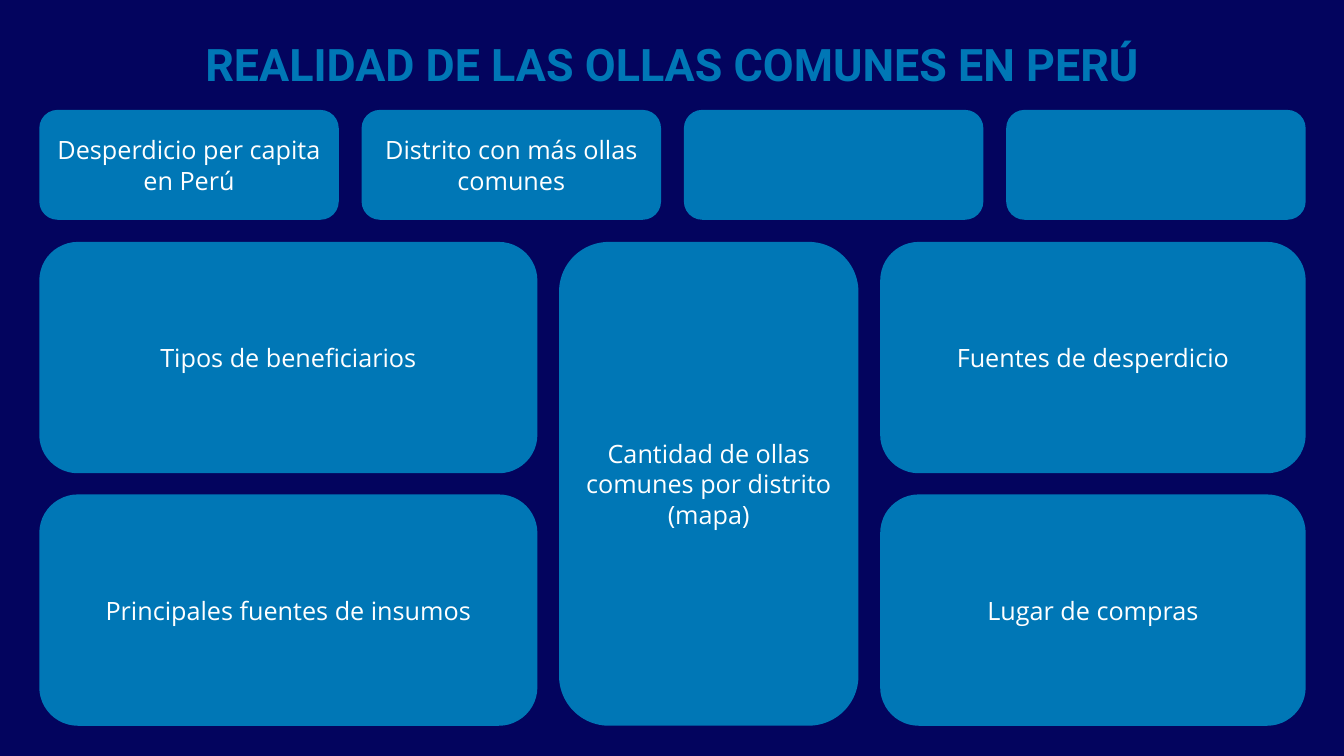
from dataclasses import dataclass

from pptx import Presentation
from pptx.dml.color import RGBColor
from pptx.enum.shapes import MSO_SHAPE
from pptx.enum.text import MSO_ANCHOR, MSO_AUTO_SIZE, PP_ALIGN
from pptx.util import Inches, Pt

ROUNDED = MSO_SHAPE.ROUNDED_RECTANGLE
CENTER = PP_ALIGN.CENTER
TOP = MSO_ANCHOR.TOP
MIDDLE = MSO_ANCHOR.MIDDLE
FIT_SHAPE = MSO_AUTO_SIZE.SHAPE_TO_FIT_TEXT
TITLE_ONLY = 5


@dataclass(frozen=True)
class Theme:
    navy: RGBColor = RGBColor.from_string("03045E")
    blue: RGBColor = RGBColor.from_string("0077B6")
    white: RGBColor = RGBColor.from_string("FFFFFF")
    title_font: str = "Roboto"
    body_font: str = "Open Sans"
    title_size: int = 32
    body_size: int = 18


@dataclass(frozen=True)
class Box:
    left: float
    top: float
    width: float
    height: float

    def lengths(self):
        return [Inches(value) for value in (self.left, self.top, self.width, self.height)]


THEME = Theme()


def add_text(text_frame, text, font_name, size, color, bold=False):
    paragraph = text_frame.paragraphs[0]
    paragraph.alignment = CENTER
    run = paragraph.add_run()
    run.text = text
    run.font.name = font_name
    run.font.size = Pt(size)
    run.font.bold = bold
    run.font.color.rgb = color


def place_title(slide, box, text):
    title = slide.shapes.title
    title.left, title.top, title.width, title.height = box.lengths()
    text_frame = title.text_frame
    text_frame.word_wrap = True
    text_frame.auto_size = FIT_SHAPE
    text_frame.vertical_anchor = TOP
    add_text(text_frame, text, THEME.title_font, THEME.title_size, THEME.blue, bold=True)


def add_card(slide, box, text):
    card = slide.shapes.add_shape(ROUNDED, *box.lengths())
    card.shadow.inherit = False
    card.fill.solid()
    card.fill.fore_color.rgb = THEME.blue
    card.line.fill.background()
    if text:
        card.text_frame.word_wrap = True
        card.text_frame.vertical_anchor = MIDDLE
        add_text(card.text_frame, text, THEME.body_font, THEME.body_size, THEME.white)


def add_indicators(slide, box, labels, card_width):
    step = (box.width - card_width) / (len(labels) - 1)
    for index, label in enumerate(labels):
        add_card(slide, Box(box.left + index * step, box.top, card_width, box.height), label)


def add_panels(slide, box, columns, row_gap):
    column_gap = (box.width - sum(width for width, _ in columns)) / (len(columns) - 1)
    left = box.left
    for width, labels in columns:
        height = (box.height - row_gap * (len(labels) - 1)) / len(labels)
        for row, label in enumerate(labels):
            top = box.top + row * (height + row_gap)
            add_card(slide, Box(left, top, width, height), label)
        left += width + column_gap


def build_dashboard(presentation):
    slide = presentation.slides.add_slide(presentation.slide_layouts[TITLE_ONLY])
    slide.background.fill.solid()
    slide.background.fill.fore_color.rgb = THEME.navy
    place_title(slide, Box(1.82, 0.31, 9.7, 0.64), "REALIDAD DE LAS OLLAS COMUNES EN PERÚ")
    add_indicators(
        slide,
        Box(0.39, 1.09, 12.56, 1.09),
        ["Desperdicio per capita en Perú", "Distrito con más ollas comunes", "", ""],
        card_width=2.97,
    )
    add_panels(
        slide,
        Box(0.39, 2.4, 12.56, 4.8),
        [
            (4.94, ["Tipos de beneficiarios", "Principales fuentes de insumos"]),
            (2.97, ["Cantidad de ollas comunes por distrito (mapa)"]),
            (4.22, ["Fuentes de desperdicio", "Lugar de compras"]),
        ],
        row_gap=0.21,
    )


def main():
    presentation = Presentation()
    presentation.slide_width = Inches(13.33)
    presentation.slide_height = Inches(7.5)
    build_dashboard(presentation)
    presentation.save("out.pptx")


if __name__ == "__main__":
    main()
